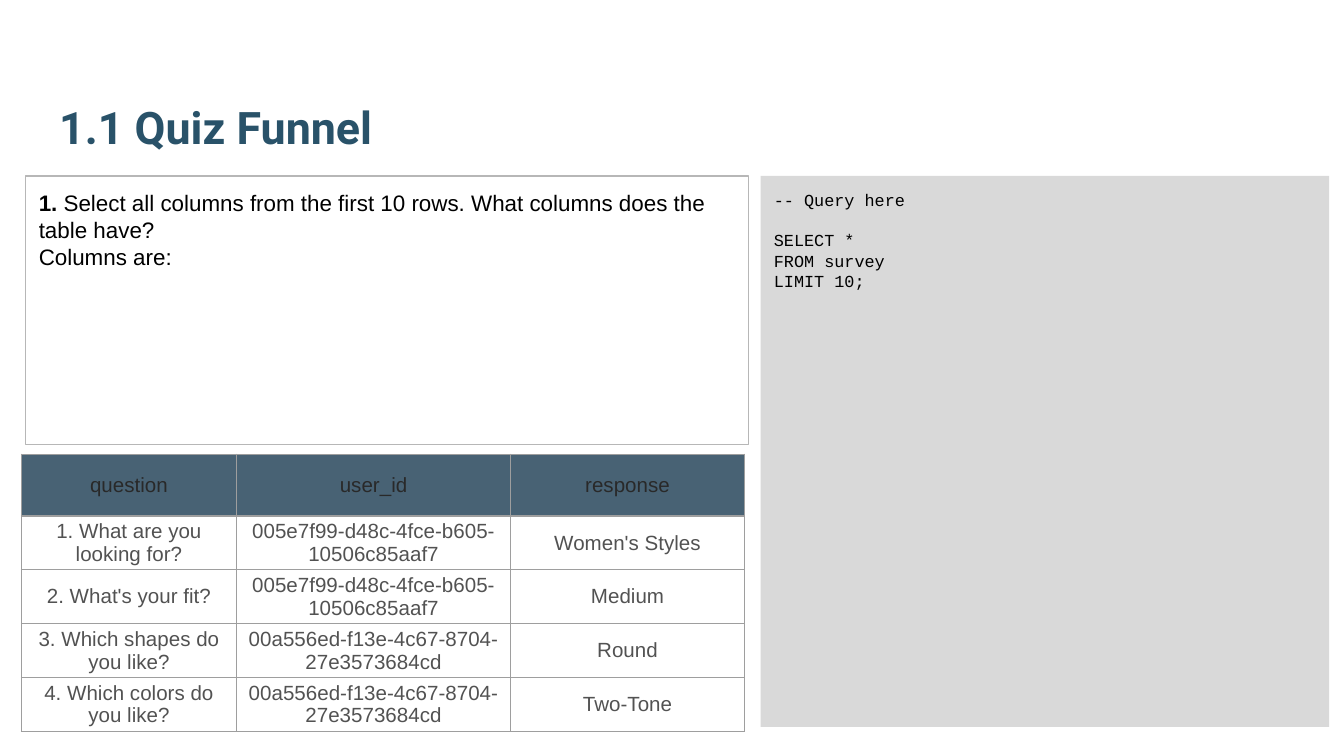
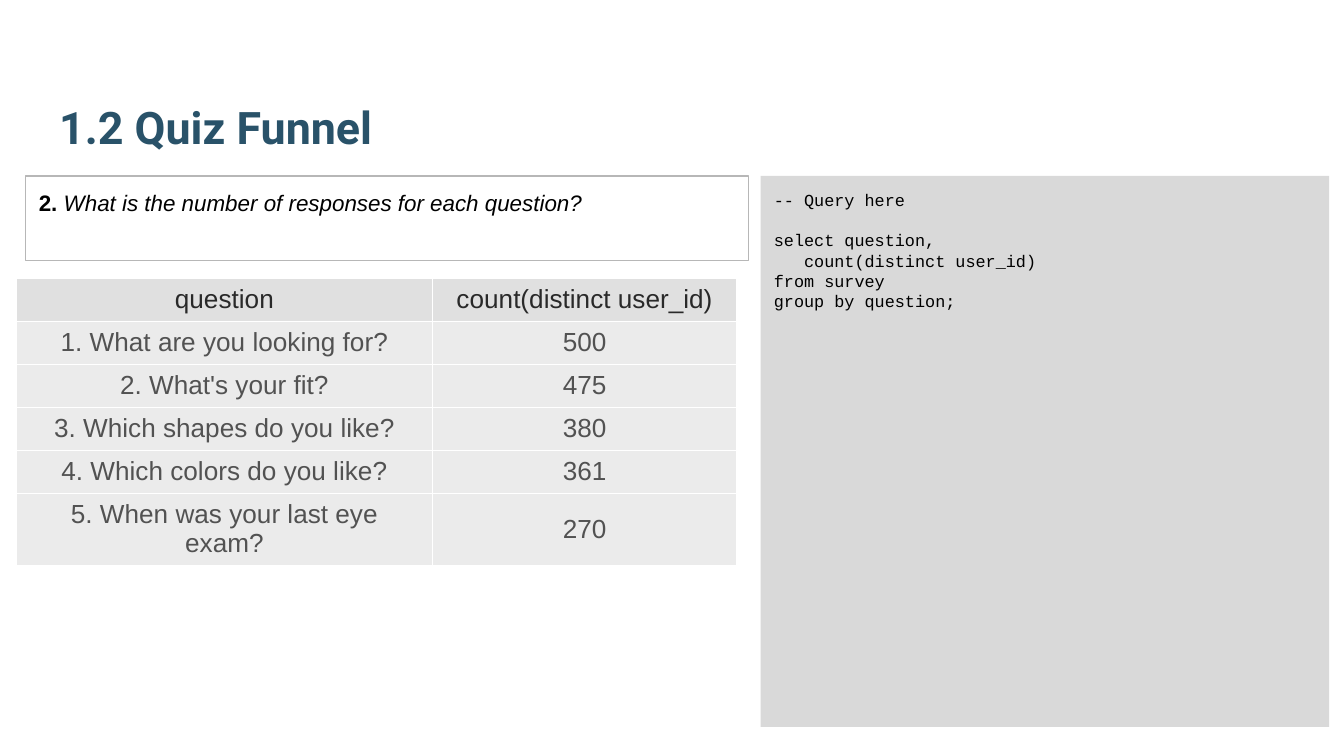
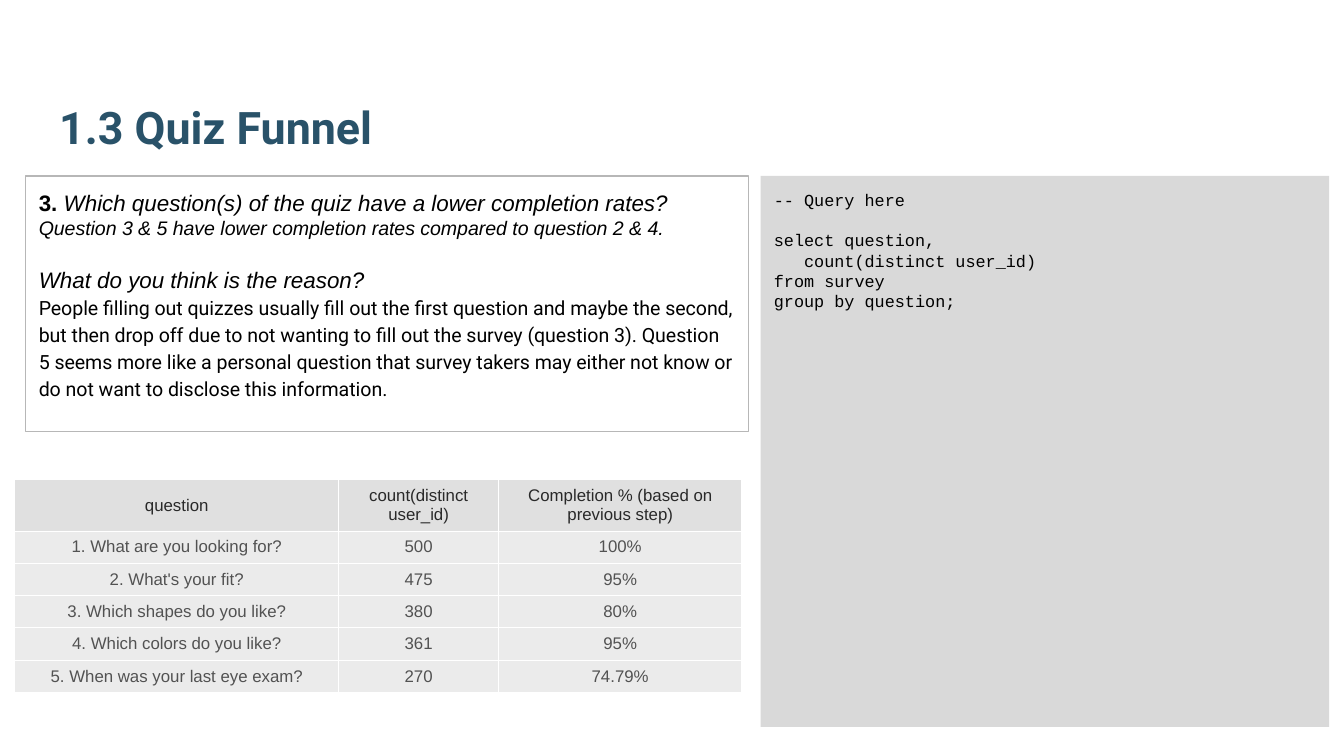
from dataclasses import dataclass

from lxml.etree import SubElement
from pptx import Presentation
from pptx.dml.color import RGBColor as RGB
from pptx.enum.shapes import MSO_SHAPE as Shape
from pptx.enum.text import MSO_ANCHOR as Anchor, MSO_AUTO_SIZE as AutoSize, PP_ALIGN as Align
from pptx.oxml.ns import qn
from pptx.util import Inches, Pt


@dataclass(frozen=True)
class Theme:
    title: str = "295269"
    ink: str = "000000"
    code_fill: str = "D9D9D9"
    question_line: str = "B7B7B7"
    head_ink: str = "292929"
    cell_ink: str = "525252"
    sans: str = "Arial"
    mono: str = "Courier New"
    display: str = "Roboto"
    title_size: float = 24
    question_size: float = 12
    answer_size: float = 10.5
    code_size: float = 9


theme = Theme()

sans = {"name": theme.sans, "size": Pt(theme.question_size), "bold": False, "italic": False}
styles = {
    "title": (theme.title, {"name": theme.display, "size": Pt(theme.title_size), "bold": True}),
    "code": (theme.ink, {"name": theme.mono, "size": Pt(theme.code_size)}),
    "plain": (theme.ink, sans),
    "number": (theme.ink, sans | {"bold": True}),
    "prompt": (theme.ink, sans | {"italic": True}),
    "finding": (theme.ink, sans | {"italic": True, "size": Pt(theme.answer_size)}),
    "reason": (theme.ink, {"name": theme.display, "size": Pt(theme.answer_size)}),
    "head": (theme.head_ink, {"name": theme.sans, "bold": False}),
    "cell": (theme.cell_ink, {"name": theme.sans, "bold": False}),
}

inset = {f"margin_{side}": Inches(0.1) for side in ("left", "top", "right", "bottom")}
box_format = inset | {"word_wrap": True, "auto_size": AutoSize.NONE, "vertical_anchor": Anchor.TOP}
title_format = box_format | {"vertical_anchor": Anchor.BOTTOM}
left = {"alignment": Align.LEFT}
centered = {"alignment": Align.CENTER}
code_gap = {"space_before": Pt(11)}
question_gap = {"space_before": Pt(14)}

dark_grid = {
    "line": "9E9E9E", "weight": 0.75, "head_fill": "204056", "head_alpha": 82,
    "cell_fill": None, "pad_x": 0.06, "pad_y": 0.03,
}
light_grid = {
    "line": "FFFFFF", "weight": 0.6, "head_fill": "E0E0E0", "head_alpha": 100,
    "cell_fill": "EBEBEB", "pad_x": 0.1, "pad_y": 0.05,
}

first_user = "005e7f99-d48c-4fce-b605-10506c85aaf7"
second_user = "00a556ed-f13e-4c67-8704-27e3573684cd"
quiz = [
    "1. What are you looking for?",
    "2. What's your fit?",
    "3. Which shapes do you like?",
    "4. Which colors do you like?",
    "5. When was your last eye exam?",
]
responses = ["500", "475", "380", "361", "270"]
completion = ["100%", "95%", "80%", "95%", "74.79%"]
count_query = ["select question,", "   count(distinct user_id)", "from survey", "group by question;"]

steps = [
    {
        "title": "1.1 Quiz Funnel",
        "query": ["SELECT *", "FROM survey", "LIMIT 10;"],
        "question_height": 2,
        "question": [
            ({}, [("1.", "number"),
                  (" Select all columns from the first 10 rows. What columns does the table have?", "plain")]),
            ({}, [("Columns are:", "plain")]),
        ],
        "grid": dark_grid,
        "origin": (0.16, 3.38),
        "widths": [1.6, 2.04, 1.74],
        "heights": [0.46] + [0.37] * 4,
        "size": 11,
        "rows": [
            ("question", "user_id", "response"),
            *zip(quiz, [first_user] * 2 + [second_user] * 2,
                 ["Women's Styles", "Medium", "Round", "Two-Tone"]),
        ],
    },
    {
        "title": "1.2 Quiz Funnel",
        "query": count_query,
        "question_height": 0.63,
        "question": [
            ({}, [("2. ", "number"), ("What is the number of responses for each question?", "prompt")]),
        ],
        "grid": light_grid,
        "origin": (0.12, 2.07),
        "widths": [3.1, 2.26],
        "heights": [0.32] * 5 + [0.53],
        "size": 14,
        "rows": [("question", "count(distinct user_id)"), *zip(quiz, responses)],
    },
    {
        "title": "1.3 Quiz Funnel",
        "query": count_query,
        "question_height": 1.9,
        "question": [
            ({}, [("3. ", "number"),
                  ("Which question(s) of the quiz have a lower completion rates?", "prompt")]),
            ({}, [("Question 3 & 5 have lower completion rates compared to question 2 & 4.", "finding")]),
            (question_gap, [("What do you think is the reason?", "prompt")]),
            ({"line_spacing": 1.15}, [(
                "People filling out quizzes usually fill out the first question and maybe the second, "
                "but then drop off due to not wanting to fill out the survey (question 3). "
                "Question 5 seems more like a personal question that survey takers may either "
                "not know or do not want to disclose this information.", "reason")]),
        ],
        "grid": light_grid,
        "origin": (0.11, 3.57),
        "widths": [2.41, 1.19, 1.81],
        "heights": [0.38] + [0.24] * 5,
        "size": 9,
        "rows": [
            ("question", "count(distinct user_id)", "Completion % (based on previous step)"),
            *zip(quiz, responses, completion),
        ],
    },
]


def apply_format(target, values):
    for attribute, value in values.items():
        setattr(target, attribute, value)


def write(frame, paragraphs, base=left, overrides={}):
    for index, (layout, runs) in enumerate(paragraphs):
        paragraph = frame.paragraphs[0] if index == 0 else frame.add_paragraph()
        apply_format(paragraph, base | layout)
        for text, style in runs:
            run = paragraph.add_run()
            run.text = text
            color, font = styles[style]
            apply_format(run.font, font | overrides)
            run.font.color.rgb = RGB.from_string(color)


deck = Presentation()
apply_format(deck, {"slide_width": Inches(10), "slide_height": Inches(10) * 9 // 16})

for step in steps:
    slide = deck.slides.add_slide(deck.slide_layouts[5])

    heading = slide.shapes.title
    apply_format(heading, {
        "left": Inches(0.34), "top": Inches(0.32), "width": Inches(9.32), "height": Inches(0.92),
    })
    apply_format(heading.text_frame, title_format)
    write(heading.text_frame, [({}, [(step["title"], "title")])])

    query = slide.shapes.add_shape(Shape.RECTANGLE, Inches(5.66), Inches(1.31), Inches(4.23), Inches(4.1))
    query.shadow.inherit = False
    query.fill.solid()
    query.fill.fore_color.rgb = RGB.from_string(theme.code_fill)
    query.line.fill.background()
    apply_format(query.text_frame, box_format)
    first_line, *other_lines = step["query"]
    write(query.text_frame, [
        ({}, [("-- Query here", "code")]),
        (code_gap, [(first_line, "code")]),
        *[({}, [(line, "code")]) for line in other_lines],
    ])

    question = slide.shapes.add_shape(
        Shape.RECTANGLE, Inches(0.19), Inches(1.31), Inches(5.38), Inches(step["question_height"]))
    question.shadow.inherit = False
    question.fill.background()
    question.line.color.rgb = RGB.from_string(theme.question_line)
    question.line.width = Pt(0.75)
    apply_format(question.text_frame, box_format)
    write(question.text_frame, step["question"])

    grid, rows = step["grid"], step["rows"]
    x, y = step["origin"]
    results = slide.shapes.add_table(
        len(rows), len(step["widths"]), Inches(x), Inches(y),
        Inches(sum(step["widths"])), Inches(sum(step["heights"]))).table
    apply_format(results, {"first_row": False, "horz_banding": False})
    for column, width in zip(results.columns, step["widths"]):
        column.width = Inches(width)
    for row, height in zip(results.rows, step["heights"]):
        row.height = Inches(height)

    cell_format = {
        "margin_left": Inches(grid["pad_x"]), "margin_right": Inches(grid["pad_x"]),
        "margin_top": Inches(grid["pad_y"]), "margin_bottom": Inches(grid["pad_y"]),
        "vertical_anchor": Anchor.MIDDLE,
    }
    for row_index, values in enumerate(rows):
        style = "cell" if row_index else "head"
        fill = grid[f"{style}_fill"]
        for column_index, value in enumerate(values):
            cell = results.cell(row_index, column_index)
            apply_format(cell, cell_format)
            write(cell.text_frame, [({}, [(value, style)])], centered, {"size": Pt(step["size"])})
            properties = cell._tc.get_or_add_tcPr()
            for edge in ("lnL", "lnR", "lnT", "lnB"):
                border = SubElement(properties, qn(f"a:{edge}"), w=str(Pt(grid["weight"])))
                SubElement(SubElement(border, qn("a:solidFill")), qn("a:srgbClr"), val=grid["line"])
            if fill is None:
                cell.fill.background()
                continue
            cell.fill.solid()
            cell.fill.fore_color.rgb = RGB.from_string(fill)
            if style == "head" and grid["head_alpha"] < 100:
                tint = properties.find(f"{qn('a:solidFill')}/{qn('a:srgbClr')}")
                SubElement(tint, qn("a:alpha"), val=str(grid["head_alpha"] * 1000))

deck.save("out.pptx")
